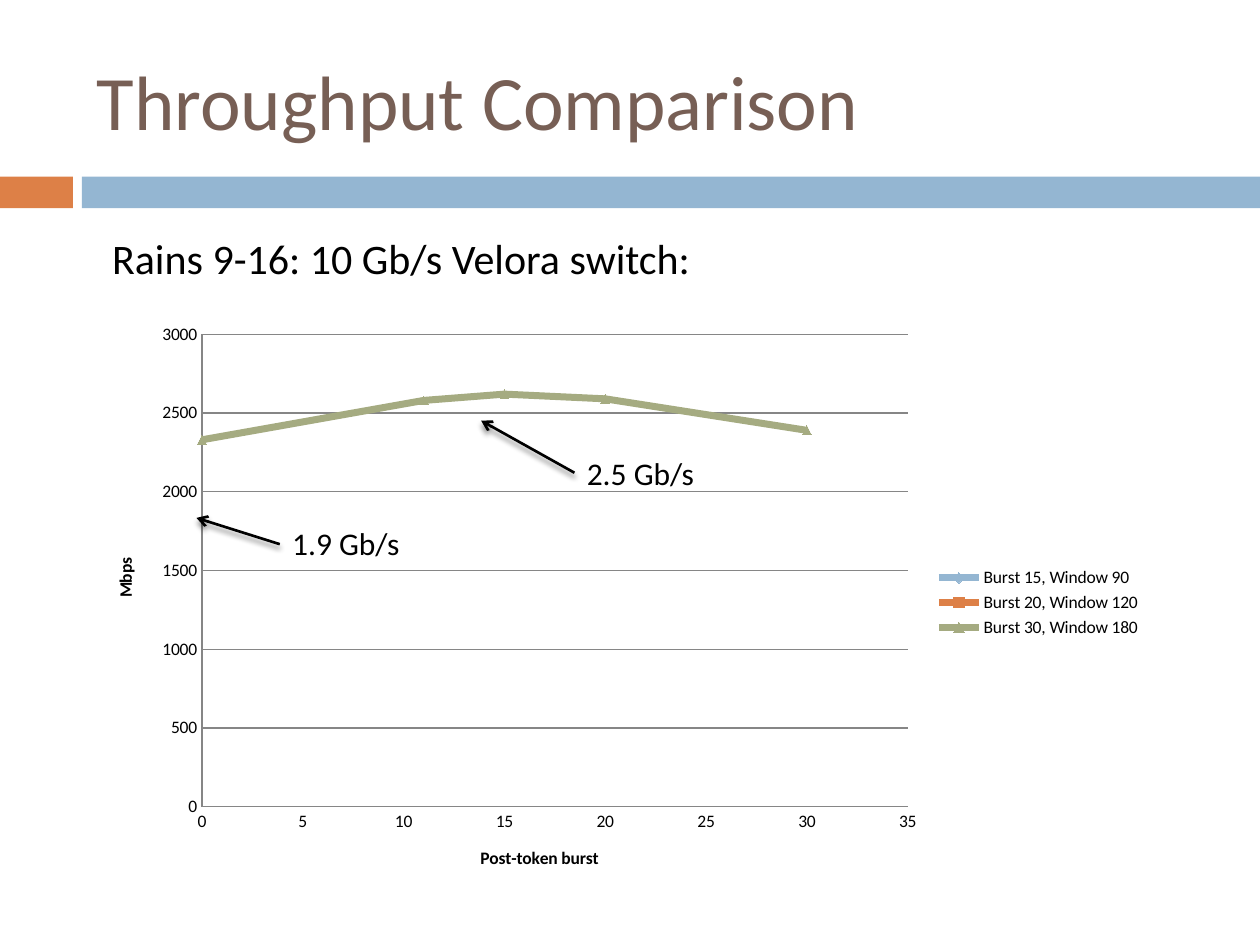
from lxml import etree
from pptx import Presentation
from pptx.chart.data import XyChartData
from pptx.dml.color import RGBColor
from pptx.enum.chart import (XL_CHART_TYPE, XL_LEGEND_POSITION,
                             XL_MARKER_STYLE, XL_TICK_MARK)
from pptx.enum.shapes import MSO_CONNECTOR, MSO_SHAPE
from pptx.enum.text import MSO_ANCHOR, PP_ALIGN
from pptx.oxml import parse_xml
from pptx.oxml.ns import nsdecls, qn
from pptx.util import Cm, Pt

BLACK = RGBColor(0x00, 0x00, 0x00)
BROWN = RGBColor(0x77, 0x5F, 0x55)
ORANGE = RGBColor(0xDD, 0x80, 0x47)
BLUE = RGBColor(0x94, 0xB6, 0xD2)
GREEN = RGBColor(0xA5, 0xAB, 0x81)
GRAY = RGBColor(0x86, 0x86, 0x86)

SCATTER = XL_CHART_TYPE.XY_SCATTER_LINES
LEGEND_RIGHT = XL_LEGEND_POSITION.RIGHT
NO_TICK = XL_TICK_MARK.NONE
DIAMOND = XL_MARKER_STYLE.DIAMOND
SQUARE = XL_MARKER_STYLE.SQUARE
TRIANGLE = XL_MARKER_STYLE.TRIANGLE
RECTANGLE = MSO_SHAPE.RECTANGLE
STRAIGHT = MSO_CONNECTOR.STRAIGHT
MIDDLE = MSO_ANCHOR.MIDDLE
LEFT = PP_ALIGN.LEFT

TITLE_ONLY = 5

# Name, colour, marker and (burst, Mbps) points
THROUGHPUT = [
    ("Burst 15, Window 90", BLUE, DIAMOND,
     [(0, 1900), (11, 2440), (14, 2530), (15, 2560)]),
    ("Burst 20, Window 120", ORANGE, SQUARE,
     [(0, 2090), (11, 2510), (15, 2520), (20, 2630)]),
    ("Burst 30, Window 180", GREEN, TRIANGLE,
     [(0, 2330), (11, 2580), (15, 2620), (20, 2590), (30, 2390)]),
]

# Text, label left and top, arrow start and end
CALLOUTS = [
    ("1.9 Gb/s", (5.64, 10.44), (5.64, 10.97), (3.96, 10.44)),
    ("2.5 Gb/s", (11.58, 9.02), (11.58, 9.53), (9.7, 8.48)),
]


class SlideBuilder:
    font = "Calibri"

    def __init__(self, slide):
        self.slide = slide

    def add_run(self, frame, text, size, color):
        paragraph = frame.paragraphs[0]
        paragraph.alignment = LEFT
        run = paragraph.add_run()
        run.text = text
        self.style(run.font, size, color)

    def style(self, font, size, color=BLACK, bold=False):
        font.name = self.font
        font.size = Pt(size)
        font.color.rgb = color
        font.bold = bold

    def title(self, text, left, top, width, height):
        shape = self.slide.shapes.title
        shape.left, shape.top = Cm(left), Cm(top)
        shape.width, shape.height = Cm(width), Cm(height)
        shape.text_frame.vertical_anchor = MIDDLE
        self.add_run(shape.text_frame, text, 44, BROWN)

    def bar(self, color, left, top, width, height):
        shape = self.slide.shapes.add_shape(
            RECTANGLE, Cm(left), Cm(top), Cm(width), Cm(height))
        shape.shadow.inherit = False
        shape.fill.solid()
        shape.fill.fore_color.rgb = color
        shape.line.fill.background()

    def text(self, text, size, left, top, width, height, wrap=True):
        shape = self.slide.shapes.add_textbox(
            Cm(left), Cm(top), Cm(width), Cm(height))
        shape.text_frame.word_wrap = wrap
        self.add_run(shape.text_frame, text, size, BLACK)

    def arrow(self, start, end):
        connector = self.slide.shapes.add_connector(
            STRAIGHT, *(Cm(value) for value in start + end))
        connector.line.color.rgb = BLACK
        connector.line.width = Pt(1.5)
        properties = connector.element.find(qn("p:spPr"))
        outline = properties.find(qn("a:ln"))
        etree.SubElement(outline, qn("a:tailEnd"), type="arrow")
        properties.append(parse_xml(
            f'<a:effectLst {nsdecls("a")}>'
            f'<a:outerShdw blurRad="{Pt(3)}" dist="{Pt(2.4)}" dir="5400000">'
            '<a:srgbClr val="000000"><a:alpha val="45000"/></a:srgbClr>'
            '</a:outerShdw></a:effectLst>'))

    def axis(self, axis, title, maximum, step):
        axis.minimum_scale = 0
        axis.maximum_scale = maximum
        axis.major_unit = step
        axis.major_tick_mark = axis.minor_tick_mark = NO_TICK
        axis.format.line.color.rgb = GRAY
        self.style(axis.tick_labels.font, 10)
        run = axis.axis_title.text_frame.paragraphs[0].add_run()
        run.text = title
        self.style(run.font, 10, bold=True)

    def plot_layout(self, chart, **fractions):
        plot_area = chart.element.find(f'.//{qn("c:plotArea")}')
        for layout in plot_area.findall(qn("c:layout")):
            plot_area.remove(layout)
        layout = etree.Element(qn("c:layout"))
        manual = etree.SubElement(layout, qn("c:manualLayout"))
        settings = {"layoutTarget": "inner", "xMode": "edge", "yMode": "edge",
                    **fractions}
        for name, value in settings.items():
            etree.SubElement(manual, qn(f"c:{name}"), val=str(value))
        plot_area.insert(0, layout)

    def scatter(self, rows, left, top, width, height):
        data = XyChartData()
        for name, _, _, points in rows:
            series = data.add_series(name)
            for burst, mbps in points:
                series.add_data_point(burst, mbps)
        chart = self.slide.shapes.add_chart(
            SCATTER, Cm(left), Cm(top), Cm(width), Cm(height), data).chart
        self.style(chart.font, 10)
        chart.has_title = False
        chart.has_legend = True
        chart.legend.position = LEGEND_RIGHT
        chart.legend.include_in_layout = False
        self.style(chart.legend.font, 10)
        chart.plots[0].vary_by_categories = False

        for series, (_, color, marker, _) in zip(chart.plots[0].series, rows):
            series.smooth = False
            series.format.line.color.rgb = color
            series.format.line.width = Pt(4)
            series.marker.style = marker
            series.marker.size = 5
            series.marker.format.fill.solid()
            series.marker.format.fill.fore_color.rgb = color
            series.marker.format.line.color.rgb = color

        self.axis(chart.category_axis, "Post-token burst", 35, 5)
        self.axis(chart.value_axis, "Mbps", 3000, 500)
        chart.category_axis.has_major_gridlines = False
        chart.value_axis.has_major_gridlines = True
        chart.value_axis.major_gridlines.format.line.color.rgb = GRAY
        self.plot_layout(chart, x=0.11, y=0.04, w=0.66, h=0.81)


def main():
    presentation = Presentation()
    presentation.slide_width, presentation.slide_height = Cm(25.4), Cm(19.05)
    layout = presentation.slide_layouts[TITLE_ONLY]
    builder = SlideBuilder(presentation.slides.add_slide(layout))

    # Heading and divider
    builder.bar(ORANGE, 0, 3.56, 1.47, 0.64)
    builder.bar(BLUE, 1.65, 3.56, 23.75, 0.64)
    builder.title("Throughput Comparison", 1.7, 0.64, 22.66, 2.74)
    builder.text("Rains 9-16: 10 Gb/s Velora switch:", 24,
                 2.01, 4.57, 12.24, 1.27, wrap=False)

    # Chart
    builder.scatter(THROUGHPUT, 1.7, 6.27, 21.56, 11.76)

    # Callouts
    for text, position, start, end in CALLOUTS:
        builder.text(text, 18, *position, 3.12, 1.02)
        builder.arrow(start, end)

    presentation.save("out.pptx")


if __name__ == "__main__":
    main()
